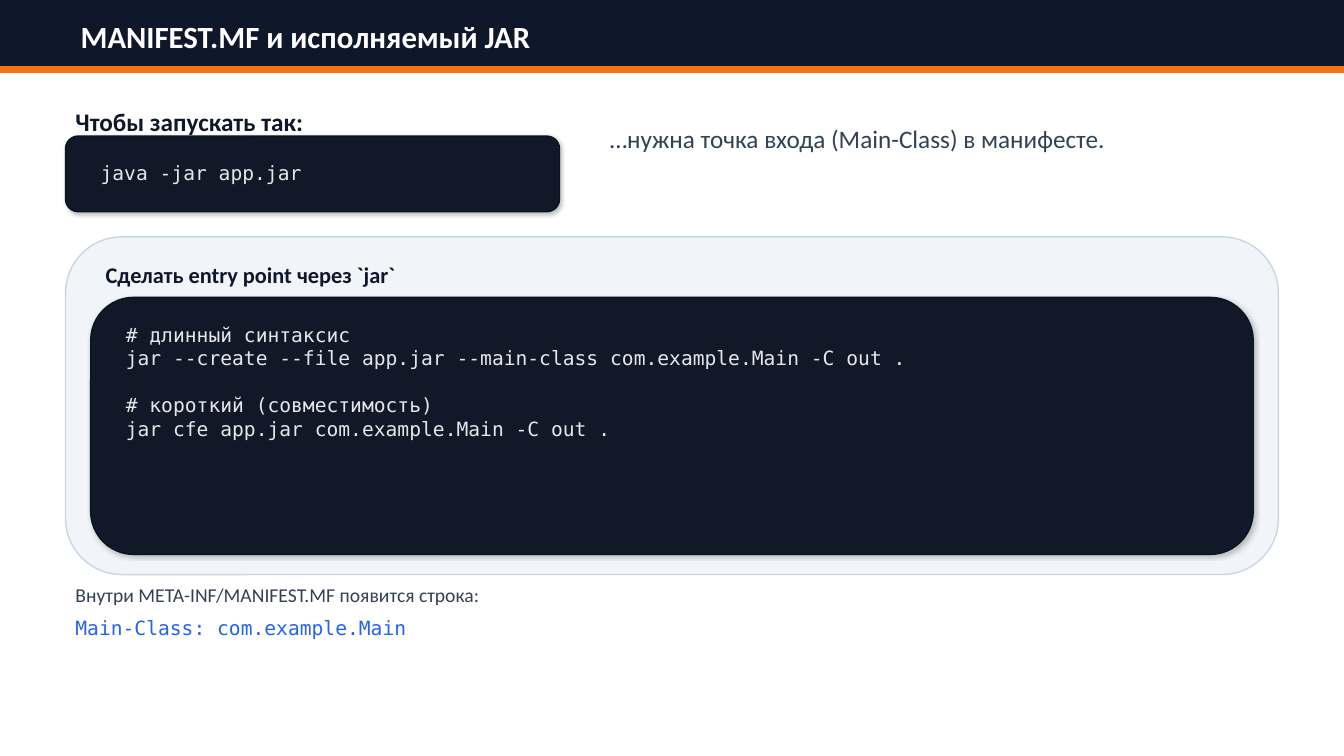
from dataclasses import dataclass

from lxml import etree
from pptx import Presentation
from pptx.dml.color import RGBColor
from pptx.enum.shapes import MSO_SHAPE
from pptx.enum.text import MSO_ANCHOR, MSO_AUTO_SIZE, PP_ALIGN
from pptx.oxml import parse_xml
from pptx.oxml.ns import nsdecls
from pptx.util import Inches, Pt

RECT, ROUNDED = MSO_SHAPE.RECTANGLE, MSO_SHAPE.ROUNDED_RECTANGLE
TOP, MIDDLE = MSO_ANCHOR.TOP, MSO_ANCHOR.MIDDLE

# Content: each code block is a list of groups, each group a list of lines
TITLE = "MANIFEST.MF и исполняемый JAR"
RUN_HEADING = "Чтобы запускать так:"
RUN_CODE = [["java -jar app.jar"]]
ENTRY_NOTE = "…нужна точка входа (Main-Class) в манифесте."
JAR_HEADING = "Сделать entry point через `jar`"
JAR_CODE = [
    ["# длинный синтаксис",
     "jar --create --file app.jar --main-class com.example.Main -C out ."],
    ["# короткий (совместимость)",
     "jar cfe app.jar com.example.Main -C out ."],
]
RESULT_NOTE = "Внутри META-INF/MANIFEST.MF появится строка:"
RESULT_LINE = "Main-Class: com.example.Main"


@dataclass(frozen=True)
class Theme:
    sans: str = "Calibri"
    mono: str = "DejaVu Sans Mono"
    navy: str = "0F172A"
    orange: str = "F97316"
    white: str = "FFFFFF"
    body: str = "334155"
    link: str = "2563EB"
    card: str = "F1F5F9"
    card_line: str = "CBD5E1"
    code_fill: str = "111827"
    code_line: str = "0B1220"
    code_text: str = "E5E7EB"
    title_size: int = 22
    lead_size: int = 18
    heading_size: int = 16
    small_size: int = 14
    group_gap: int = 17


THEME = Theme()

SLIDE_W, SLIDE_H = 13.33, 7.5
HEADER_H, STRIPE_H = 0.72, 0.06
MARGIN = 0.65
CONTENT_W = SLIDE_W - 2 * MARGIN
RUN_W = 4.9
NOTE_LEFT = MARGIN + RUN_W + 0.4
CARD_TOP, CARD_H = 2.35, 3.35
CARD_PAD = 0.25
CODE_PAD_X, CODE_PAD_Y = 0.25, 0.2


def rgb(value):
    return RGBColor.from_string(value)


def add_panel(slide, kind, box, fill, line):
    panel = slide.shapes.add_shape(kind, *map(Inches, box))
    panel.shadow.inherit = False
    panel.fill.solid()
    panel.fill.fore_color.rgb = rgb(fill)
    panel.line.color.rgb = rgb(line)
    panel.line.width = Pt(1)
    return panel


def add_soft_shadow(panel):
    """Cast a faint black shadow down and to the right."""
    effects = panel.element.spPr.find(
        "{http://schemas.openxmlformats.org/drawingml/2006/main}effectLst")
    shadow = parse_xml(
        f'<a:outerShdw {nsdecls("a")} blurRad="{Pt(3)}" dist="{Pt(1.5)}" '
        f'dir="{45 * 60000}" algn="ctr" rotWithShape="0"/>')
    color = etree.SubElement(shadow, shadow.tag.replace("outerShdw", "srgbClr"), val="000000")
    etree.SubElement(color, shadow.tag.replace("outerShdw", "alpha"), val="25000")
    effects.append(shadow)


def write(frame, groups, font, size, color, bold=False, anchor=MIDDLE):
    """Fill a text frame with groups of lines, spaced apart between groups."""
    frame.word_wrap = True
    frame.auto_size = MSO_AUTO_SIZE.NONE
    frame.vertical_anchor = anchor
    lines = [(text, number > 0 and text is group[0])
             for number, group in enumerate(groups) for text in group]
    for index, (text, opens_group) in enumerate(lines):
        paragraph = frame.add_paragraph() if index else frame.paragraphs[0]
        paragraph.alignment = PP_ALIGN.LEFT
        if opens_group:
            paragraph.space_before = Pt(THEME.group_gap)
        run = paragraph.add_run()
        run.text = text
        run.font.name, run.font.size, run.font.bold = font, Pt(size), bold
        run.font.color.rgb = rgb(color)


def add_text(slide, box, groups, *style, **options):
    label = slide.shapes.add_textbox(*map(Inches, box))
    write(label.text_frame, groups, *style, **options)


def add_code(slide, box, groups):
    left, top, width, height = box
    add_soft_shadow(add_panel(slide, ROUNDED, box, THEME.code_fill, THEME.code_line))
    inner = (left + CODE_PAD_X, top + CODE_PAD_Y,
             width - 2 * CODE_PAD_X, height - 2 * CODE_PAD_Y)
    add_text(slide, inner, groups, THEME.mono, THEME.small_size, THEME.code_text, anchor=TOP)


def add_header(slide):
    add_panel(slide, RECT, (0, 0, SLIDE_W, HEADER_H), THEME.navy, THEME.navy)
    add_panel(slide, RECT, (0, HEADER_H - STRIPE_H, SLIDE_W, STRIPE_H),
              THEME.orange, THEME.orange)
    title = slide.shapes.title
    title.left, title.top, title.width, title.height = map(
        Inches, (0.7, 0.16, SLIDE_W - 1.4, 0.4))
    write(title.text_frame, [[TITLE]], THEME.sans, THEME.title_size, THEME.white, bold=True)
    title.element.getparent().append(title.element)  # bring in front of the header bar


def main():
    deck = Presentation()
    deck.slide_width, deck.slide_height = Inches(SLIDE_W), Inches(SLIDE_H)
    slide = deck.slides.add_slide(deck.slide_layouts[5])
    add_header(slide)

    add_text(slide, (MARGIN, 1.05, RUN_W, 0.3), [[RUN_HEADING]],
             THEME.sans, THEME.lead_size, THEME.navy, bold=True)
    add_code(slide, (MARGIN, 1.35, RUN_W, 0.75), RUN_CODE)
    add_text(slide, (NOTE_LEFT, 1.12, SLIDE_W - MARGIN - NOTE_LEFT, 0.5), [[ENTRY_NOTE]],
             THEME.sans, THEME.lead_size, THEME.body)

    add_panel(slide, ROUNDED, (MARGIN, CARD_TOP, CONTENT_W, CARD_H),
              THEME.card, THEME.card_line)
    add_text(slide, (MARGIN + 0.3, CARD_TOP + 0.2, CONTENT_W - 0.6, 0.35), [[JAR_HEADING]],
             THEME.sans, THEME.heading_size, THEME.navy, bold=True)
    add_code(slide, (MARGIN + CARD_PAD, CARD_TOP + 0.6,
                     CONTENT_W - 2 * CARD_PAD, CARD_H - 0.8), JAR_CODE)

    result_top = CARD_TOP + CARD_H + 0.05
    add_text(slide, (MARGIN, result_top, CONTENT_W, 0.3), [[RESULT_NOTE]],
             THEME.sans, THEME.small_size, THEME.body)
    add_text(slide, (MARGIN, result_top + 0.3, CONTENT_W, 0.35), [[RESULT_LINE]],
             THEME.mono, THEME.small_size, THEME.link)
    deck.save("out.pptx")


if __name__ == "__main__":
    main()
